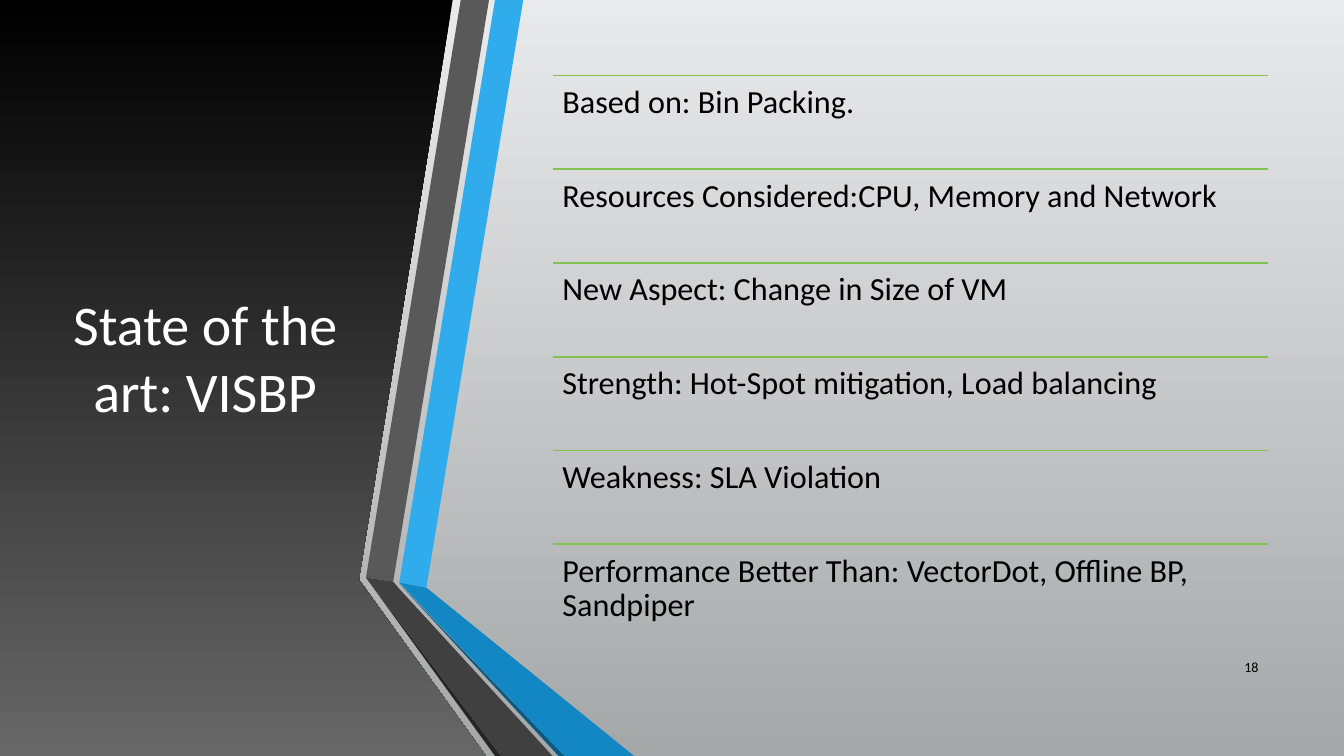
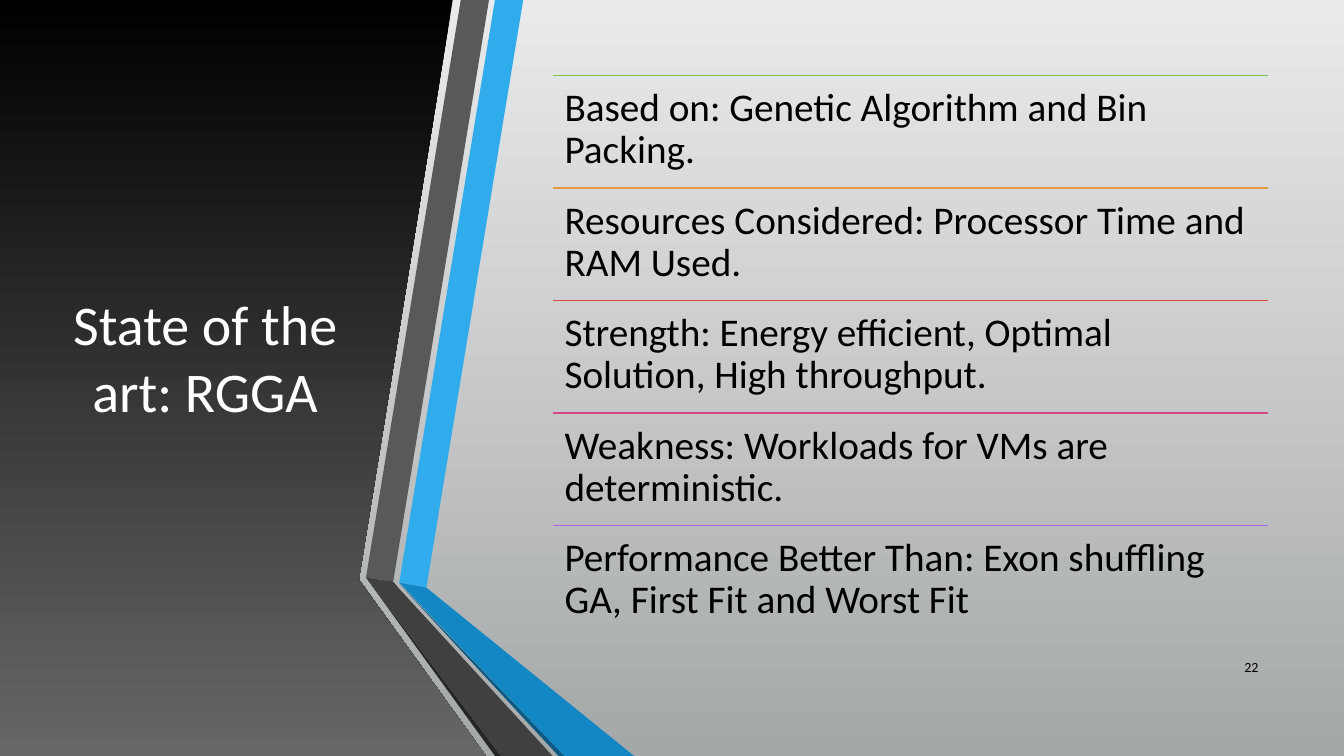
import pptx
import pptx.util
import pptx.dml.color
import pptx.enum.shapes
import pptx.enum.text
import pptx.oxml.ns
import lxml.etree

PX = 9144  # EMU in one px, 100 px to the inch
WIDTH, HEIGHT = 1333, 750
FONT = "Calibri"
COLORS = {
    "page_top": "E9EAEB", "page_bottom": "A5A8A9",
    "panel_top": "000000", "panel_bottom": "676767",
    "blue": "30ACEC", "blue_fold": "1287C3", "blue_shade": "0C5A82",
    "gray": "595959", "gray_fold": "404040", "gray_shade": "262626",
    "green": "80C34F", "orange": "E29D3E", "red": "D64A3B",
    "pink": "D64787", "purple": "A666E1",
    "white": "FFFFFF", "black": "000000",
}

# Boxes: left, top, width, height
PANEL_BOX = (0, 0, 482, HEIGHT)
RIBBON_BOX = (363, 0, 266, HEIGHT)
TITLE_BOX = (59, 75, 289, 558)
LIST_BOX = (548, 75, 710, 558)
NUMBER_BOX = (1198, 642, 60, 40)

# Outlines, relative to their box
PANEL_OUTLINE = [(0, 0), (449, 0), (356, 575), (482, 750), (0, 750)]
RIBBON_OUTLINES = [
    ("blue", [(33, 578), (60, 583), (156, 0), (128, 0)]),
    ("gray", [(122, 0), (94, 0), (0, 573), (27, 577)]),
    ("gray_shade", [(0, 573), (128, 750), (134, 750)]),
    ("blue_shade", [(33, 579), (191, 750), (197, 750)]),
    ("blue_fold", [(33, 578), (197, 750), (266, 750), (60, 583)]),
    ("gray_fold", [(185, 750), (32, 583), (27, 577), (0, 573), (134, 750)]),
]

SLIDES = [
    {
        "title": "State of the art: VISBP", "number": "18",
        "size": 23, "inset": 10, "rules": ["green"] * 6,
        "points": [
            "Based on: Bin Packing.",
            "Resources Considered:CPU, Memory and Network",
            "New Aspect: Change in Size of VM",
            "Strength: Hot-Spot mitigation, Load balancing",
            "Weakness: SLA Violation",
            "Performance Better Than: VectorDot, Offline BP, Sandpiper",
        ],
    },
    {
        "title": "State of the art: RGGA", "number": "22",
        "size": 28, "inset": 12,
        "rules": ["green", "orange", "red", "pink", "purple"],
        "points": [
            "Based on: Genetic Algorithm and Bin Packing.",
            "Resources Considered: Processor Time and RAM Used.",
            "Strength: Energy efficient, Optimal Solution, High throughput.",
            "Weakness: Workloads for VMs are deterministic.",
            "Performance Better Than: Exon shuffling GA, First Fit and Worst Fit",
        ],
    },
]


def color(name):
    return pptx.dml.color.RGBColor.from_string(COLORS[name])


def emu(*lengths):
    return [pptx.util.Emu(round(length * PX)) for length in lengths]


def fill_gradient(fill, top, bottom):
    fill.gradient()
    fill.gradient_angle = 270
    for stop, name in zip(fill.gradient_stops, (top, bottom)):
        stop.color.rgb = color(name)


def write_text(shape, text, *, size, ink="black", align="LEFT",
               anchor="TOP", spacing=1.0, insets=(10, 5)):
    frame = shape.text_frame
    frame.word_wrap = True
    frame.auto_size = pptx.enum.text.MSO_AUTO_SIZE.NONE
    frame.vertical_anchor = getattr(pptx.enum.text.MSO_ANCHOR, anchor)
    across, down = emu(*insets)
    frame.margin_left = frame.margin_right = across
    frame.margin_top = frame.margin_bottom = down
    para = frame.paragraphs[0]
    para.alignment = getattr(pptx.enum.text.PP_ALIGN, align)
    para.line_spacing = spacing
    span = para.add_run()
    span.text = text
    span.font.name = FONT
    span.font.size = pptx.util.Pt(size)
    span.font.color.rgb = color(ink)


def add_outline(page, box, points):
    left, top = box[:2]
    corners = [(left + x, top + y) for x, y in points]
    builder = page.shapes.build_freeform(*corners[0], scale=PX)
    builder.add_line_segments(corners[1:], close=True)
    shape = builder.convert_to_shape()
    shape.shadow.inherit = False
    shape.line.fill.background()
    return shape


def add_rule(page, left, top, width, name):
    rule = page.shapes.add_connector(
        pptx.enum.shapes.MSO_CONNECTOR.STRAIGHT,
        *emu(left, top, left + width, top))
    rule.line.color.rgb = color(name)
    rule.line.width = pptx.util.Pt(1.25)
    properties = rule._element.spPr
    lxml.etree.SubElement(properties, pptx.oxml.ns.qn("a:effectLst"))


def add_panel(page, box):
    panel = add_outline(page, box, PANEL_OUTLINE)
    fill_gradient(panel.fill, "panel_top", "panel_bottom")


def add_ribbons(page, box):
    for name, points in RIBBON_OUTLINES:
        ribbon = add_outline(page, box, points)
        ribbon.fill.solid()
        ribbon.fill.fore_color.rgb = color(name)


def add_title(page, box, text):
    title = page.shapes.title
    title.left, title.top, title.width, title.height = emu(*box)
    # Bring the title in front of the dark panel
    page.shapes._spTree.append(title._element)
    write_text(title, text, size=40, ink="white", align="CENTER",
               anchor="MIDDLE")


def add_ruled_list(page, box, points, rules, size, inset):
    left, top, width, height = box
    row_height = height / len(points)
    for index, (point, rule) in enumerate(zip(points, rules)):
        row_top = top + index * row_height
        add_rule(page, left, row_top, width, rule)
        row = page.shapes.add_textbox(*emu(left, row_top, width, row_height))
        write_text(row, point, size=size, spacing=0.9, insets=(inset, inset))


def add_number(page, box, text):
    number = page.shapes.add_textbox(*emu(*box))
    write_text(number, text, size=10, align="RIGHT", anchor="MIDDLE")


def add_review_slide(deck, content):
    page = deck.slides.add_slide(deck.slide_layouts[5])
    fill_gradient(page.background.fill, "page_top", "page_bottom")
    add_panel(page, PANEL_BOX)
    add_title(page, TITLE_BOX, content["title"])
    add_ribbons(page, RIBBON_BOX)
    add_ruled_list(page, LIST_BOX, content["points"], content["rules"],
                   content["size"], content["inset"])
    add_number(page, NUMBER_BOX, content["number"])


def main():
    deck = pptx.Presentation()
    deck.slide_width, deck.slide_height = emu(WIDTH, HEIGHT)
    for content in SLIDES:
        add_review_slide(deck, content)
    deck.save("out.pptx")


if __name__ == "__main__":
    main()
